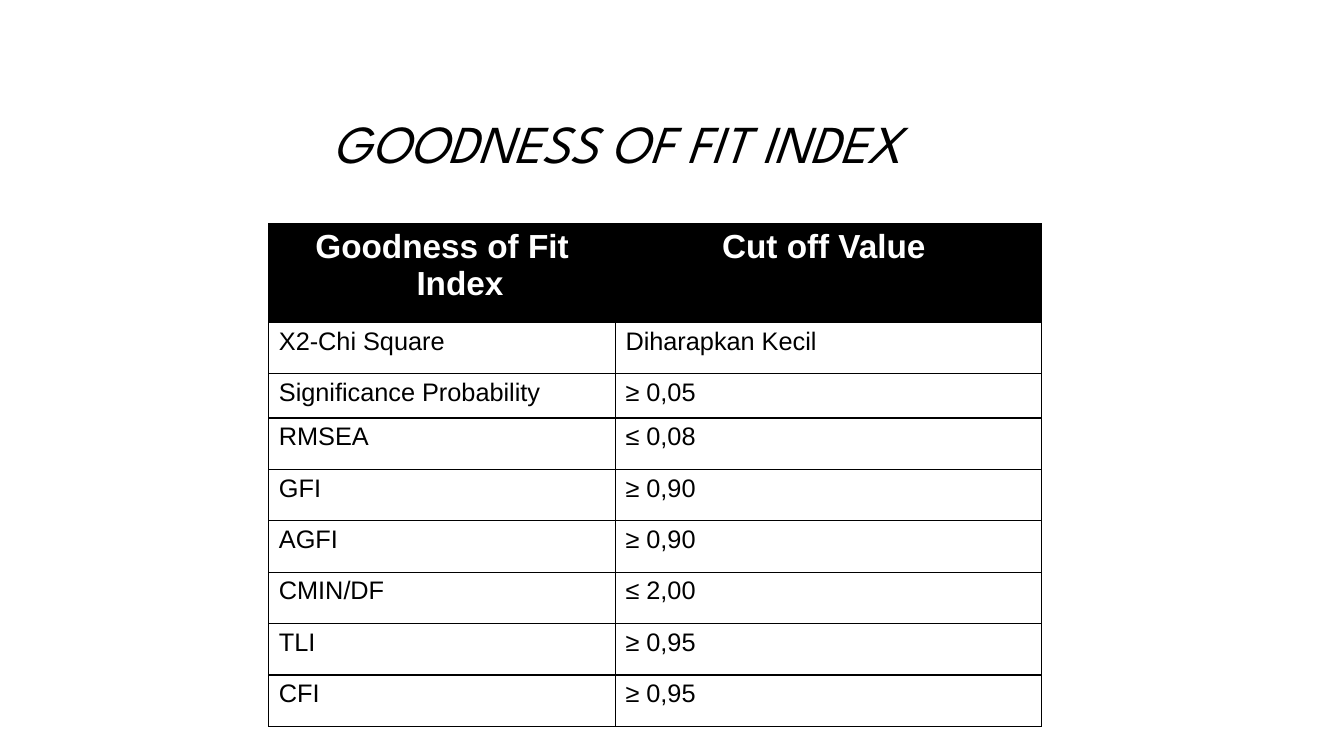
import pptx
import pptx.util
import pptx.dml.color
import pptx.enum.text
import pptx.oxml
import pptx.oxml.ns

Cm = pptx.util.Cm
Pt = pptx.util.Pt
RGB = pptx.dml.color.RGBColor
ALIGN = pptx.enum.text.PP_ALIGN
ANCHOR = pptx.enum.text.MSO_ANCHOR
BLACK = RGB(0, 0, 0)
WHITE = RGB(255, 255, 255)

ROWS = [
    ("Goodness of Fit Index", "Cut off Value "),
    ("X2-Chi Square", "Diharapkan Kecil"),
    ("Significance Probability", "≥ 0,05"),
    ("RMSEA", "≤ 0,08"),
    ("GFI", "≥ 0,90"),
    ("AGFI", "≥ 0,90"),
    ("CMIN/DF", "≤ 2,00"),
    ("TLI", "≥ 0,95"),
    ("CFI", "≥ 0,95"),
]
WIDTHS = [9.17, 11.28]
HEIGHTS = [2.61, 1.36, 1.17] + [1.36] * 6
HEAD = {"name": "Arial", "size": Pt(25), "bold": True}
BODY = {"name": "Arial", "size": Pt(19), "bold": False}
TITLE = {"name": "League Spartan", "size": Pt(40), "italic": True}
INSET = {"margin_left": Cm(0.27), "margin_right": Cm(0.27)}


def style(para, text, look, color, align):
    run = para.add_run()
    run.text = text
    for key, value in look.items():
        setattr(run.font, key, value)
    run.font.color.rgb = color
    para.alignment = align


def edge(cell):
    props = cell._tc.get_or_add_tcPr()
    for spot, side in enumerate(["lnL", "lnR", "lnT", "lnB"]):
        line = pptx.oxml.parse_xml(
            f'<a:{side} {pptx.oxml.ns.nsdecls("a")} w="{Pt(1)}">'
            f'<a:solidFill><a:srgbClr val="{BLACK}"/></a:solidFill></a:{side}>'
        )
        props.insert(spot, line)


deck = pptx.Presentation()
deck.slide_width = Cm(35.56)
deck.slide_height = deck.slide_width * 9 // 16
slide = deck.slides.add_slide(deck.slide_layouts[6])

box = slide.shapes.add_textbox(Cm(5.49), Cm(2.41), Cm(22), Cm(2.9))
frame = box.text_frame
frame.word_wrap = True
frame.vertical_anchor = ANCHOR.MIDDLE
para = frame.paragraphs[0]
para.line_spacing = 0.9
style(para, "GOODNESS OF FIT INDEX ", TITLE, BLACK, ALIGN.CENTER)

table = slide.shapes.add_table(
    len(ROWS), len(WIDTHS), Cm(7.11), Cm(5.92), Cm(sum(WIDTHS)), Cm(sum(HEIGHTS))
).table
table.first_row = False
table.horz_banding = False
for col, width in zip(table.columns, WIDTHS):
    col.width = Cm(width)

for i, (row, height) in enumerate(zip(table.rows, HEIGHTS)):
    row.height = Cm(height)
    for cell, text in zip(row.cells, ROWS[i]):
        for key, value in INSET.items():
            setattr(cell, key, value)
        para = cell.text_frame.paragraphs[0]
        props = para._p.get_or_add_pPr()
        props.set("marL", str(Cm(0.95)))
        props.set("indent", str(Cm(-0.95)))
        if i == 0:
            cell.fill.solid()
            cell.fill.fore_color.rgb = BLACK
            style(para, text, HEAD, WHITE, ALIGN.CENTER)
        else:
            cell.fill.background()
            style(para, text, BODY, BLACK, ALIGN.LEFT)
        edge(cell)

deck.save("out.pptx")
